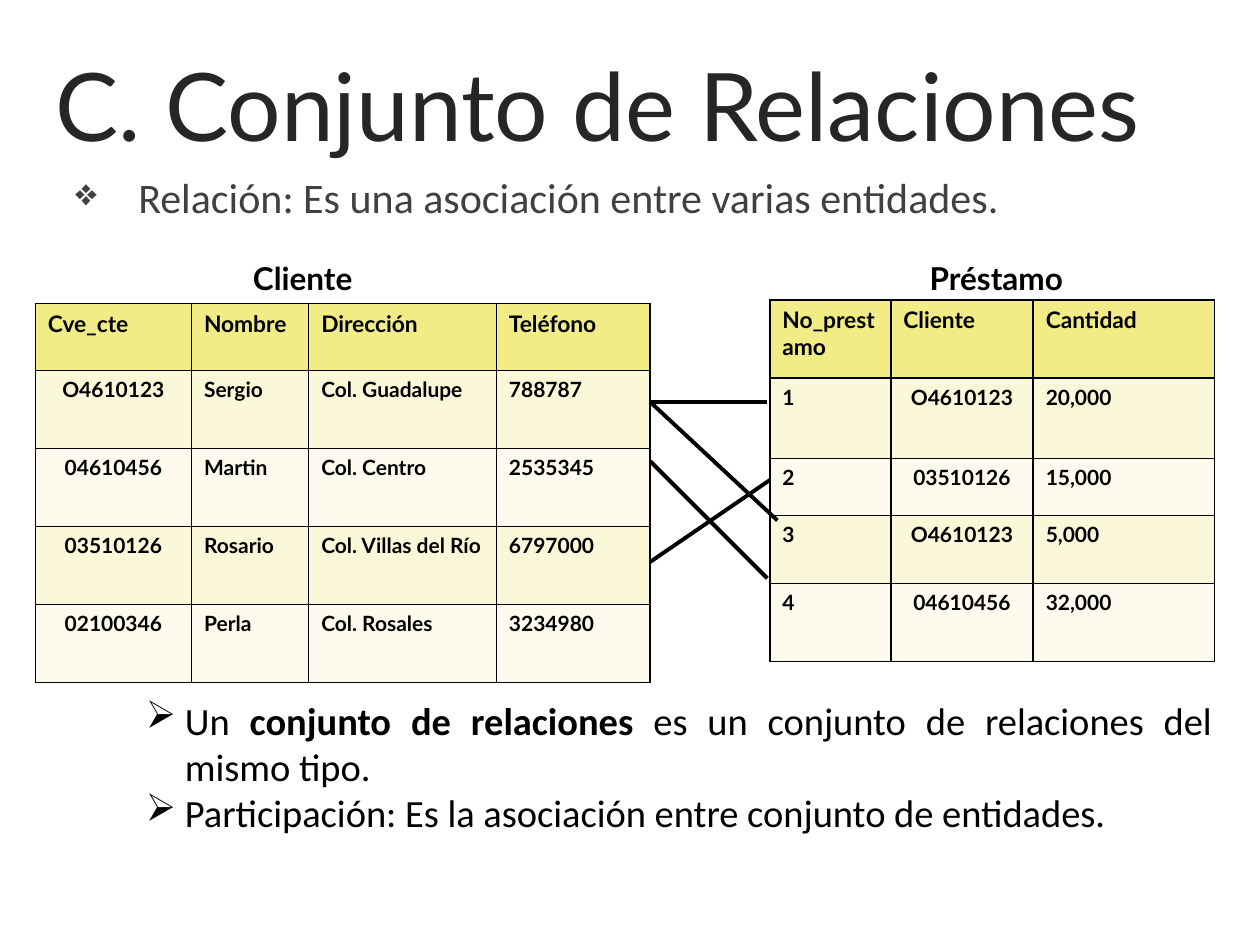
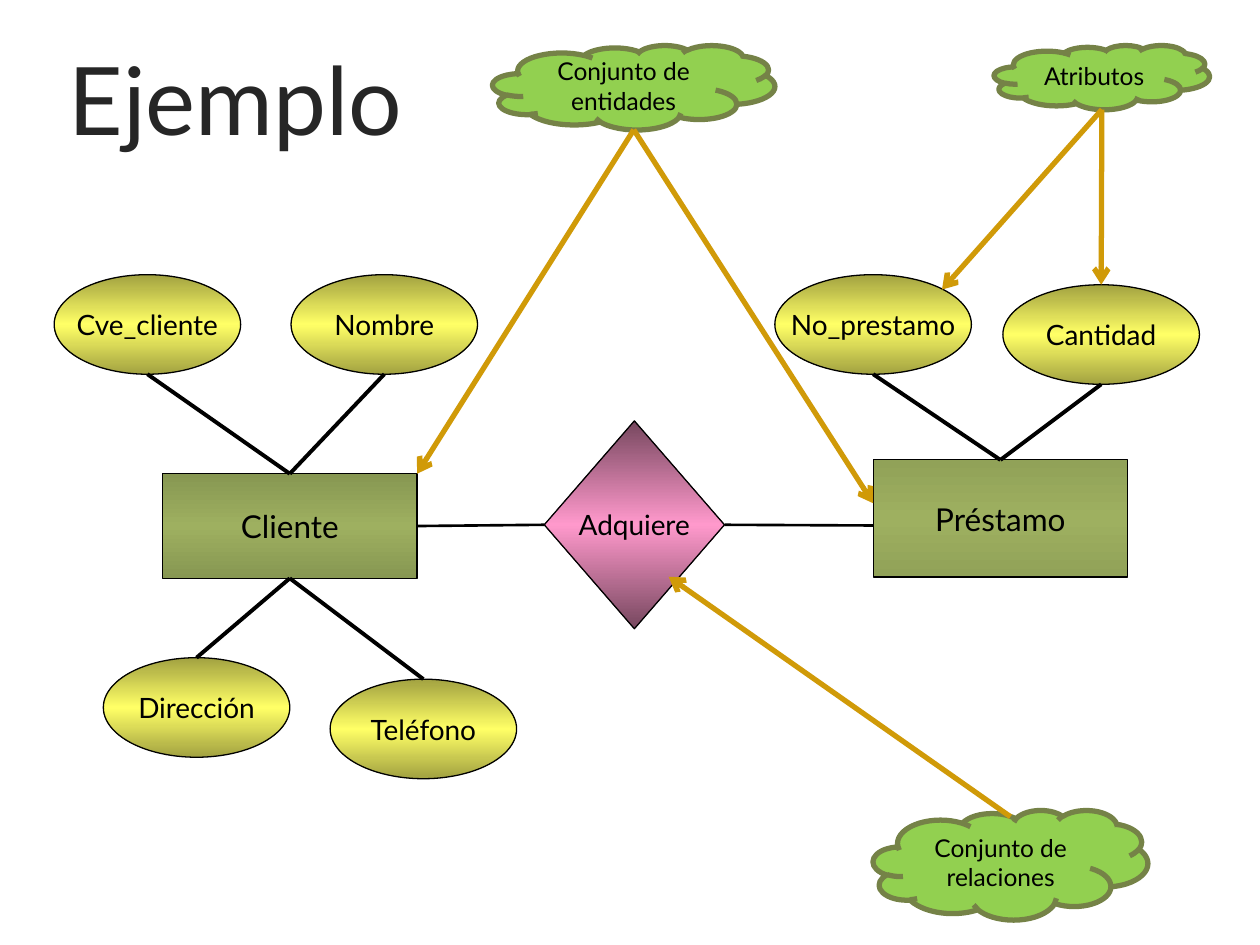
from copy import deepcopy

from lxml import etree
from pptx import Presentation
from pptx.dml.color import RGBColor
from pptx.enum.shapes import MSO_CONNECTOR, MSO_SHAPE
from pptx.enum.text import MSO_ANCHOR, PP_ALIGN
from pptx.oxml.ns import qn
from pptx.util import Inches, Pt

# Grid: the 10 x 7.5 inch slide has 100 columns and 75 rows of equal size
COLUMNS, ROWS = 100, 75
CELL = Inches(10) / COLUMNS

# Fonts and colours
HEAD_FONT, BODY_FONT = "Lato", "Calibri"
BLACK = RGBColor(0x00, 0x00, 0x00)
TITLE_GREY = RGBColor(0x26, 0x26, 0x26)
BODY_GREY = RGBColor(0x40, 0x40, 0x40)
HEADER_YELLOW = RGBColor(0xF2, 0xEC, 0x86)
BAND_DARK = RGBColor(0xFA, 0xF8, 0xD9)
BAND_LIGHT = RGBColor(0xFC, 0xFB, 0xED)
OLIVE = RGBColor(0x9E, 0xB0, 0x60)
OLIVE_DARK = RGBColor(0x87, 0x97, 0x52)
OLIVE_MID = RGBColor(0x91, 0xA2, 0x58)
PINK = RGBColor(0xFF, 0x99, 0xCC)
PLUM = RGBColor(0x76, 0x47, 0x5E)
YELLOW = RGBColor(0xFF, 0xFF, 0x66)
MUSTARD = RGBColor(0xA2, 0xA2, 0x41)
CLOUD_GREEN = RGBColor(0x92, 0xD0, 0x50)
CLOUD_EDGE = RGBColor(0x75, 0x82, 0x47)
GOLD = RGBColor(0xD0, 0x9A, 0x08)

# Enum members
LEFT, CENTER, JUSTIFY = PP_ALIGN.LEFT, PP_ALIGN.CENTER, PP_ALIGN.JUSTIFY
TOP, MIDDLE = MSO_ANCHOR.TOP, MSO_ANCHOR.MIDDLE
RECTANGLE, ELLIPSE = MSO_SHAPE.RECTANGLE, MSO_SHAPE.OVAL
DIAMOND, CLOUD = MSO_SHAPE.DIAMOND, MSO_SHAPE.CLOUD
STRAIGHT = MSO_CONNECTOR.STRAIGHT

# Points of a shape, as shares of its width and height
AT_TOP, AT_BOTTOM, AT_LEFT, AT_RIGHT = (0.5, 0), (0.5, 1), (0, 0.5), (1, 0.5)


def grid(*counts):
    """Turn counts of grid cells into lengths."""
    return [round(count * CELL) for count in counts]


def add_child(parent, tag, **attributes):
    child = etree.SubElement(parent, qn(tag))
    for name, value in attributes.items():
        child.set(name, str(value))
    return child


# Text

def write_text(frame, *lines, size, font=HEAD_FONT, color=BLACK, bold=False,
               align=LEFT, anchor=TOP, wrap=True, bullet=None, indent=0,
               bullet_percent=100):
    """Fill a frame, one paragraph a line; asterisks enclose bold words."""
    frame.word_wrap = wrap
    frame.vertical_anchor = anchor
    for index, line in enumerate(lines):
        para = frame.add_paragraph() if index else frame.paragraphs[0]
        para.alignment = align
        if bullet:
            properties = para._p.get_or_add_pPr()
            hang, = grid(indent)
            properties.set("marL", str(hang))
            properties.set("indent", str(-hang))
            add_child(properties, "a:buSzPct", val=bullet_percent * 1000)
            add_child(properties, "a:buChar", char=bullet)
        for part, words in enumerate(line.split("*")):
            span = para.add_run()
            span.text = words
            span.font.name = font
            span.font.size = Pt(size)
            span.font.bold = bold or part % 2 == 1
            span.font.color.rgb = color


def add_text(page, place, *lines, **style):
    box = page.shapes.add_textbox(*grid(*place))
    write_text(box.text_frame, *lines, **style)


def add_title(page, place, text):
    add_text(page, place, text, size=54, color=TITLE_GREY, align=CENTER,
             anchor=MIDDLE)


# Tables

def add_borders(cell):
    properties = cell._tc.get_or_add_tcPr()
    for position, side in enumerate(("a:lnL", "a:lnR", "a:lnT", "a:lnB")):
        line = etree.Element(qn(side), w=str(Pt(1)))
        fill = add_child(line, "a:solidFill")
        add_child(fill, "a:srgbClr", val=BLACK)
        properties.insert(position, line)


def add_records(page, corner, widths, heights, records, key_column):
    """Draw a banded table; the values of the key column are centred."""
    table = page.shapes.add_table(
        len(heights), len(widths),
        *grid(*corner, sum(widths), sum(heights))).table
    for column, width in zip(table.columns, grid(*widths)):
        column.width = width
    for row, height in zip(table.rows, grid(*heights)):
        row.height = height
    for r, record in enumerate(records):
        for c, value in enumerate(record):
            cell = table.cell(r, c)
            cell.fill.solid()
            cell.fill.fore_color.rgb = (
                HEADER_YELLOW if r == 0 else BAND_DARK if r % 2 else BAND_LIGHT)
            add_borders(cell)
            write_text(cell.text_frame, value, size=12 if r else 13, bold=True,
                       align=CENTER if r and c == key_column else LEFT)


# Shapes and lines

def fill_gradient(shape, edge, middle):
    """Shade a shape from edge to middle and back, top to bottom."""
    fill = shape.fill
    fill.gradient()
    fill.gradient_angle = 90
    stops = shape._element.spPr.find(".//" + qn("a:gsLst"))
    stops.append(deepcopy(stops[0]))
    for stop, position, color in zip(fill.gradient_stops, (0, 0.5, 1),
                                     (edge, middle, edge)):
        stop.position = position
        stop.color.rgb = color


def add_figure(page, kind, place, text, size, line, line_width, wrap):
    shape = page.shapes.add_shape(kind, *grid(*place))
    shape.shadow.inherit = False
    shape.line.color.rgb = line
    shape.line.width = Pt(line_width)
    write_text(shape.text_frame, text, size=size, align=CENTER, anchor=MIDDLE,
               wrap=wrap)
    return shape


def add_node(page, kind, place, text, edge, middle, size=16):
    shape = add_figure(page, kind, place, text, size, BLACK, 0.75, False)
    fill_gradient(shape, edge, middle)
    return shape


def add_attribute(page, place, text):
    return add_node(page, ELLIPSE, place, text, MUSTARD, YELLOW)


def add_cloud(page, place, text):
    shape = add_figure(page, CLOUD, place, text, 14, CLOUD_EDGE, 3, True)
    shape.fill.solid()
    shape.fill.fore_color.rgb = CLOUD_GREEN
    return shape


def add_line(page, start, end, color=BLACK, width=2.25, arrow=False):
    link = page.shapes.add_connector(STRAIGHT, *start, *end)
    link.line.color.rgb = color
    link.line.width = Pt(width)
    if arrow:
        add_child(link.line._get_or_add_ln(), "a:tailEnd", type="arrow")
    add_child(link._element.spPr, "a:effectLst")


def point_on(shape, share):
    return (round(shape.left + share[0] * shape.width),
            round(shape.top + share[1] * shape.height))


def join(page, source, source_point, target, target_point, **style):
    add_line(page, point_on(source, source_point),
             point_on(target, target_point), **style)


# Slides

def build_relations(page):
    add_text(page, (5, 13.1, 90, 7.1),
             "Relación: Es una asociación entre varias entidades.",
             size=24, font=BODY_FONT, color=BODY_GREY, bullet="❖", indent=5,
             bullet_percent=90)
    add_title(page, (2.8, 2, 89.3, 12.5), "C. Conjunto de Relaciones")

    # Clients and loans
    add_records(page, (2.8, 24.1), (12.4, 9.3, 14.9, 12.2),
                (5.3, 6.2, 6.2, 6.2, 6.2), (
        ("Cve_cte", "Nombre", "Dirección", "Teléfono"),
        ("O4610123", "Sergio", "Col. Guadalupe", "788787"),
        ("04610456", "Martin", "Col. Centro", "2535345"),
        ("03510126", "Rosario", "Col. Villas del Río", "6797000"),
        ("02100346", "Perla", "Col. Rosales", "3234980")), key_column=0)
    add_records(page, (61.1, 23.8), (9.6, 11.3, 14.4),
                (6.2, 6.4, 4.5, 5.4, 6.2), (
        ("No_prestamo", "Cliente", "Cantidad"),
        ("1", "O4610123", "20,000"),
        ("2", "03510126", "15,000"),
        ("3", "O4610123", "5,000"),
        ("4", "04610456", "32,000")), key_column=1)

    # Which client has which loan
    for start_row, end_column, end_row in ((31.9, 60.9, 31.9),
                                           (31.9, 61.7, 41.3),
                                           (36.6, 60.9, 45.9),
                                           (44.6, 61.1, 38.1)):
        add_line(page, grid(51.6, start_row), grid(end_column, end_row))

    # Table names
    for column, width, name in ((19.1, 10.6, "Cliente"),
                                (72.8, 13.4, "Préstamo")):
        add_text(page, (column, 20.1, width, 4), name, size=18, bold=True,
                 wrap=False)

    add_text(page, (10.6, 54.8, 86.6, 12.1),
             "Un *conjunto de relaciones* es un conjunto de relaciones del "
             "mismo tipo.",
             "Participación: Es la asociación entre conjunto de entidades.",
             size=22, font=BODY_FONT, align=JUSTIFY, bullet="➢", indent=3.1)


def build_example(page):
    add_title(page, (4.3, 1.5, 28.8, 12.5), "Ejemplo")

    # Entities and their relation
    client = add_node(page, RECTANGLE, (12.9, 37.6, 20.2, 8.3), "Cliente",
                      OLIVE_DARK, OLIVE, size=18)
    loan = add_node(page, RECTANGLE, (69.3, 36.5, 20.2, 9.3), "Préstamo",
                    OLIVE_MID, OLIVE, size=18)
    acquires = add_node(page, DIAMOND, (43.2, 33.4, 14.3, 16.5), "Adquiere",
                        PLUM, PINK)
    join(page, client, AT_RIGHT, acquires, AT_LEFT, width=1.5)
    join(page, acquires, AT_RIGHT, loan, (0, 0.56), width=1.5)

    # Attributes, above or below their entity
    attributes = {}
    for text, column, row, width, entity in (
            ("Cve_cliente", 4.3, 21.8, 14.8, client),
            ("Nombre", 23.1, 21.8, 14.8, client),
            ("Dirección", 8.2, 52.2, 14.8, client),
            ("Teléfono", 26.2, 53.9, 14.8, client),
            ("No_prestamo", 61.5, 21.8, 15.6, loan),
            ("Cantidad", 79.6, 22.6, 15.6, loan)):
        shape = add_attribute(page, (column, row, width, 7.9), text)
        attributes[text] = shape
        if shape.top < entity.top:
            join(page, shape, AT_BOTTOM, entity, AT_TOP)
        else:
            join(page, shape, AT_TOP, entity, AT_BOTTOM)

    # Clouds that name the parts, with arrows to them
    for text, place, start, targets in (
            ("Conjunto de entidades", (39.1, 3.6, 22.4, 6.7), AT_BOTTOM,
             ((client, (1, 0)), (loan, (0, 0.37)))),
            ("Atributos", (78.9, 3.6, 17.1, 5.1), AT_BOTTOM,
             ((attributes["No_prestamo"], (0.85, 0.15)),
              (attributes["Cantidad"], AT_TOP))),
            ("Conjunto de relaciones", (69.3, 64.3, 21.8, 8.7), (0.5, 0.06),
             ((acquires, (0.69, 0.75)),))):
        cloud = add_cloud(page, place, text)
        for target, end in targets:
            join(page, cloud, start, target, end, color=GOLD, width=3,
                 arrow=True)


def main():
    deck = Presentation()
    deck.slide_width, deck.slide_height = grid(COLUMNS, ROWS)
    blank = deck.slide_layouts[6]
    for build in (build_relations, build_example):
        build(deck.slides.add_slide(blank))
    deck.save("out.pptx")


main()
